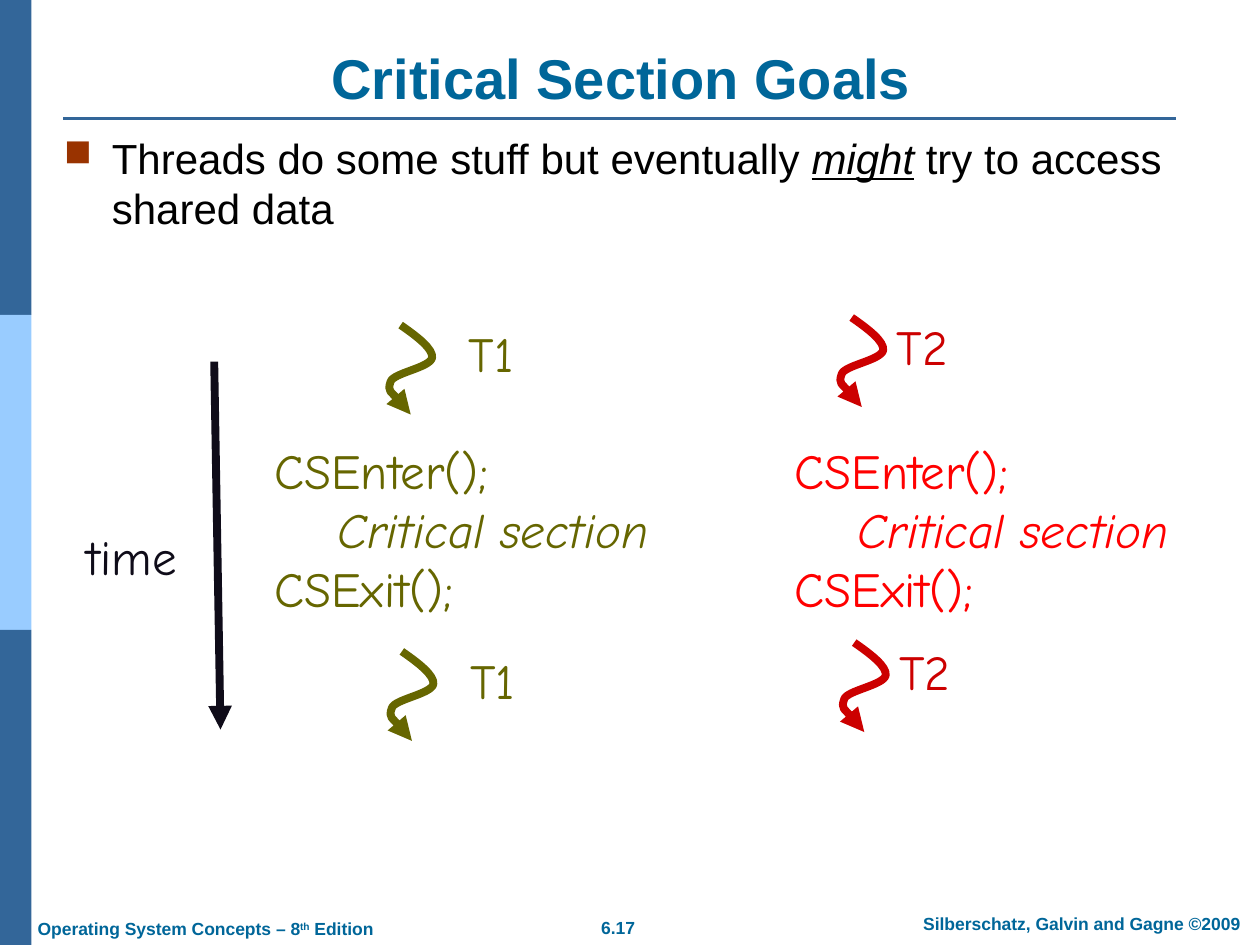
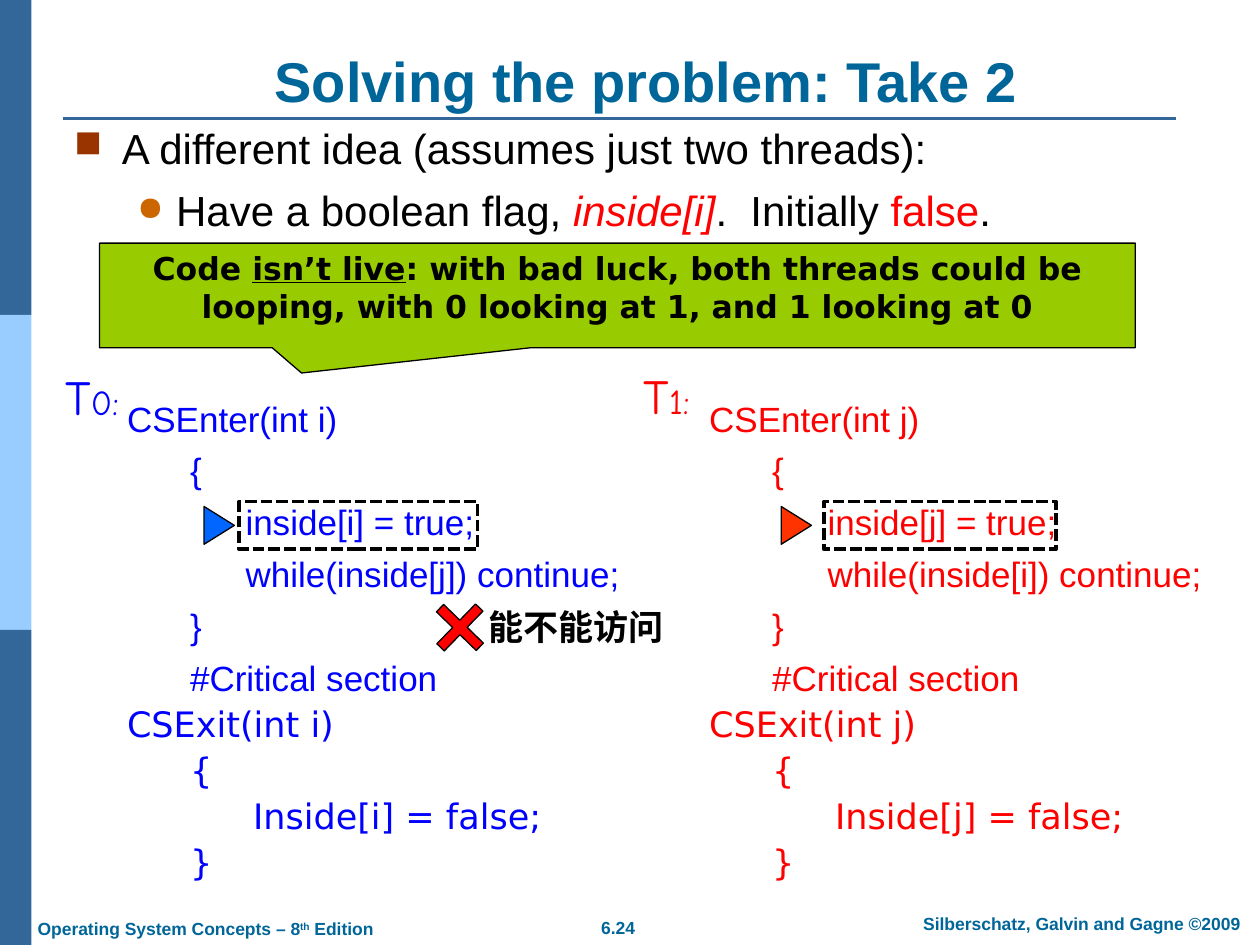
from pptx import Presentation
from pptx import util as u
from pptx.dml.color import RGBColor
from pptx.enum import dml, shapes, text
from pptx.oxml import ns
from lxml import etree

TEAL = RGBColor(0x00, 0x66, 0x99)
NAVY = RGBColor(0x33, 0x66, 0x99)
SKY = RGBColor(0x99, 0xCC, 0xFF)
BLACK = RGBColor(0x00, 0x00, 0x00)
INK = RGBColor(0x0F, 0x0C, 0x19)
OLIVE = RGBColor(0x66, 0x66, 0x00)
CRIMSON = RGBColor(0xCC, 0x00, 0x00)
RED = RGBColor(0xFF, 0x00, 0x00)
BLUE = RGBColor(0x00, 0x00, 0xFF)
AZURE = RGBColor(0x00, 0x66, 0xFF)
ORANGE = RGBColor(0xFF, 0x33, 0x00)
LIME = RGBColor(0x99, 0xCC, 0x00)
RUST = RGBColor(0x99, 0x33, 0x00)
AMBER = RGBColor(0xCC, 0x66, 0x00)

SANS, HAND, WIDE = "Arial", "Comic Neue", "DejaVu Sans"
CENTER = text.PP_ALIGN.CENTER
MIDDLE = text.MSO_ANCHOR.MIDDLE
KIND = shapes.MSO_SHAPE
SQUARE = ("■", RUST, 90)
DOT = ("●", AMBER, 80)
WAVE = [(24, 9), (37, 19), (36, 26), (34, 34), (5, 38),
        (3, 45), (0, 53), (16, 66), (19, 71)]


def inches(*sizes):
    """Turn numbers into lengths."""
    return [u.Inches(size) for size in sizes]


def node(parent, tag, **attrs):
    """Append a drawing element to a parent."""
    return etree.SubElement(parent, ns.qn(tag), attrs)


def run(para, words, size, color, font=SANS, bold=False, italic=None, under=None, base=None):
    """Add one run of formatted text."""
    part = para.add_run()
    part.text = words
    face = part.font
    face.size, face.name, face.bold = u.Pt(size), font, bold
    face.italic, face.underline = italic, under
    face.color.rgb = color
    if base:
        part.font._element.set("baseline", str(base * 1000))


def add_para(frame, runs, size, color, font=SANS, bold=False, align=None,
             level=0, margin=0, hang=0, before=0, lines=None, bullet=None):
    """Add a paragraph whose runs are pairs of words and style changes."""
    first = frame.paragraphs[0]
    para = frame.add_paragraph() if first.runs else first
    para.level, para.alignment = level, align
    para.space_before, para.line_spacing = u.Pt(before), lines
    props = para._p.get_or_add_pPr()
    props.set("marL", str(u.Inches(margin)))
    props.set("indent", str(u.Inches(-hang)))
    if bullet:
        mark, tint, scale = bullet
        node(node(props, "a:buClr"), "a:srgbClr", val=str(tint))
        node(props, "a:buSzPct", val=str(scale * 1000))
        node(props, "a:buChar", char=mark)
    for words, style in runs:
        run(para, words, **{**dict(size=size, color=color, font=font, bold=bold), **style})


def add_box(slide, spot, wrap=True, grow=False, anchor=text.MSO_ANCHOR.TOP):
    """Add an empty text box and return its frame."""
    frame = slide.shapes.add_textbox(*inches(*spot)).text_frame
    frame.word_wrap, frame.vertical_anchor = wrap, anchor
    if grow:
        frame.auto_size = text.MSO_AUTO_SIZE.SHAPE_TO_FIT_TEXT
    return frame


def add_label(slide, spot, runs, color):
    """Add a short centred handwritten label."""
    frame = add_box(slide, spot, False, True, MIDDLE)
    add_para(frame, runs, 28, color, HAND, align=CENTER)


def add_form(slide, kind, spot, fill=None, line=BLACK, width=0.75):
    """Add a preset shape with flat fill and line."""
    form = slide.shapes.add_shape(kind, *inches(*spot))
    form.shadow.inherit = False
    if fill is None:
        form.fill.background()
    else:
        form.fill.solid()
        form.fill.fore_color.rgb = fill
    if line is None:
        form.line.fill.background()
    else:
        form.line.color.rgb = line
        form.line.width = u.Pt(width)
    return form


def set_line(form, color, width, arrow=False):
    """Style an open line, with an arrowhead if asked."""
    form.line.color.rgb = color
    form.line.width = u.Pt(width)
    if arrow:
        node(form.element.find(".//" + ns.qn("a:ln")), "a:tailEnd", type="triangle")


def add_line(slide, start, end, color, width, arrow=False):
    """Add a straight line without shadow."""
    line = slide.shapes.add_connector(shapes.MSO_CONNECTOR.STRAIGHT, *inches(*start, *end))
    set_line(line, color, width, arrow)
    node(line.element.spPr, "a:effectLst")


def add_thread(slide, x, y, name, gap, width, color):
    """Add a curly thread arrow and its name."""
    maker = slide.shapes.build_freeform(11, 0, scale=u.Inches(0.01))
    maker.add_line_segments(WAVE, close=False)
    curl = maker.convert_to_shape(*inches(x, y))
    track = curl.element.find(".//" + ns.qn("a:path"))
    steps = track.findall(ns.qn("a:lnTo"))
    for start in range(0, len(steps), 3):
        curve = node(track, "a:cubicBezTo")
        for step in steps[start:start + 3]:
            curve.append(step[0])
            track.remove(step)
    curl.shadow.inherit = False
    curl.fill.background()
    set_line(curl, color, 4.5, True)
    add_label(slide, (x + gap, y - 0.06, width, 0.57), [(name, {})], color)


def add_calls(slide, x, color):
    """Add the enter and exit calls of one thread."""
    frame = add_box(slide, (x, 3.45, 3.62, 1.5), grow=True, anchor=MIDDLE)
    add_para(frame, [("CSEnter();", {})], 28, color, HAND)
    add_para(frame, [("Critical section", {"italic": True})], 28, color, HAND,
             level=1, margin=0.5)
    add_para(frame, [("CSExit();", {})], 28, color, HAND)


def add_code(slide, x, mine, other, color):
    """Add the enter and exit code of one thread."""
    enter = [(f"CSEnter(int {mine})", 0, 0), ("{", 1, 0.5),
             (f"inside[{mine}] = true;", 2, 0.94),
             (f"while(inside[{other}]) continue;", 2, 0.94),
             ("}", 1, 0.5), ("#Critical section", 1, 0.5)]
    leave = [(f"CSExit(int {mine})", 0, 0), ("{", 1, 0.5),
             (f"Inside[{mine}] = false;", 2, 1), ("}", 1, 0.5)]
    frame = add_box(slide, (x, 3.14, 4.58, 4.92))
    for rows, font, gap in ((enter, SANS, 8), (leave, WIDE, 4.7)):
        for words, level, margin in rows:
            before = gap if frame.paragraphs[0].runs else 0
            add_para(frame, [(words, {})], 20, color, font, level=level,
                     margin=margin, before=before, lines=0.9)


def add_step(slide, x, left, width, fill):
    """Mark the current code line with a pointer and a dashed frame."""
    add_form(slide, KIND.ISOSCELES_TRIANGLE, (x, 4.05, 0.3, 0.24), fill).rotation = 90
    frame = add_form(slide, KIND.RECTANGLE, (left, 3.98, width, 0.38), width=2.25)
    frame.line.dash_style = dml.MSO_LINE.SQUARE_DOT


def add_slide(deck, title, x, y, number):
    """Add a slide with title, side bands, rule and footers."""
    slide = deck.slides.add_slide(deck.slide_layouts[5])
    for row, fill in enumerate((NAVY, SKY, NAVY)):
        add_form(slide, KIND.RECTANGLE, (0, row * 2.5, 0.25, 2.5), fill, None)
    add_line(slide, (0.5, 0.94), (9.33, 0.94), NAVY, 1.5)
    feet = [((4.66, 7.23, 0.49, 0.27), False, CENTER, [(number, {})]),
            ((7.1, 7.2, 2.97, 0.27), True, CENTER,
             [("Silberschatz, Galvin and Gagne ©2009", {})]),
            ((0.2, 7.24, 2.88, 0.27), False, None,
             [("Operating System Concepts – 8", {}), ("th", {"base": 30}), (" Edition", {})])]
    for spot, wrap, align, runs in feet:
        add_para(add_box(slide, spot, wrap, True), runs, 10, TEAL, bold=True, align=align)
    head = slide.shapes.title
    head.left, head.top, head.width, head.height = inches(x, y, 9, 0.63)
    frame = head.text_frame
    frame.auto_size = text.MSO_AUTO_SIZE.NONE
    frame.vertical_anchor = text.MSO_ANCHOR.BOTTOM
    add_para(frame, [(title, {})], 32, TEAL, bold=True, align=CENTER)
    return slide


def make_goals(deck):
    """Build the slide on critical section goals."""
    slide = add_slide(deck, "Critical Section Goals", 0.43, 0.3, "6.17")
    add_para(add_box(slide, (0.41, 1, 9, 0.65)),
             [("Threads do some stuff but eventually ", {}),
              ("might", {"italic": True, "under": True}),
              (" ", {"italic": True}), ("try to access shared data", {})],
             24, BLACK, margin=0.38, hang=0.38, bullet=SQUARE)
    for x, y in ((3.07, 2.58), (3.08, 5.17)):
        add_thread(slide, x, y, "T1", 0.51, 0.64, OLIVE)
    for x, y in ((6.65, 2.52), (6.67, 5.1)):
        add_thread(slide, x, y, "T2", 0.32, 0.7, CRIMSON)
    add_calls(slide, 2.08, OLIVE)
    add_calls(slide, 6.21, RED)
    add_line(slide, (1.7, 2.87), (1.75, 5.79), INK, 4.5, True)
    add_label(slide, (0.54, 4.13, 1.01, 0.57), [("time", {})], INK)


def make_take(deck):
    """Build the slide on the second attempt."""
    slide = add_slide(deck, "Solving the problem: Take 2", 0.63, 0.32, "6.24")
    idea = add_box(slide, (0.49, 0.97, 8.83, 1))
    add_para(idea, [("A different idea (assumes just two threads):", {})], 24, BLACK,
             margin=0.38, hang=0.38, lines=0.9, bullet=SQUARE)
    add_para(idea, [("Have a boolean flag, ", {}),
                    ("inside[i]", {"color": RED, "italic": True}),
                    (".  Initially ", {}), ("false", {"color": RED}), (".", {})],
             24, BLACK, level=1, margin=0.81, hang=0.31, before=9.5, lines=0.9, bullet=DOT)
    note = add_form(slide, KIND.RECTANGULAR_CALLOUT, (0.79, 1.93, 8.22, 0.83), LIME)
    note.adjustments[0], note.adjustments[1] = -0.305, 0.742
    note.text_frame.word_wrap = True
    note.text_frame.vertical_anchor = text.MSO_ANCHOR.TOP
    add_para(note.text_frame,
             [("Code ", {}), ("isn’t live", {"under": True}),
              (": with bad luck, both threads could be looping, "
               "with 0 looking at 1, and 1 looking at 0", {})],
             18, BLACK, WIDE, True, CENTER)
    add_code(slide, 0.91, "i", "j", BLUE)
    add_code(slide, 5.53, "j", "i", RED)
    add_label(slide, (0.37, 2.86, 0.72, 0.57), [("T", {}), ("0:", {"size": 20})], BLUE)
    add_label(slide, (4.95, 2.85, 0.68, 0.57), [("T", {}), ("1:", {"size": 20})], RED)
    add_step(slide, 1.59, 1.9, 1.89, AZURE)
    add_step(slide, 6.17, 6.54, 1.84, ORANGE)
    add_para(add_box(slide, (3.78, 4.76, 1.6, 0.44), False, True),
             [("能不能访问", {})], 20, BLACK, WIDE, True)
    cross = add_form(slide, KIND.CROSS, (3.43, 4.76, 0.44, 0.44), RED)
    cross.adjustments[0] = 0.407
    cross.rotation = 44.2


def main():
    """Build and save the deck."""
    deck = Presentation()
    deck.slide_width, deck.slide_height = inches(10, 7.5)
    make_goals(deck)
    make_take(deck)
    deck.save("out.pptx")


if __name__ == "__main__":
    main()
